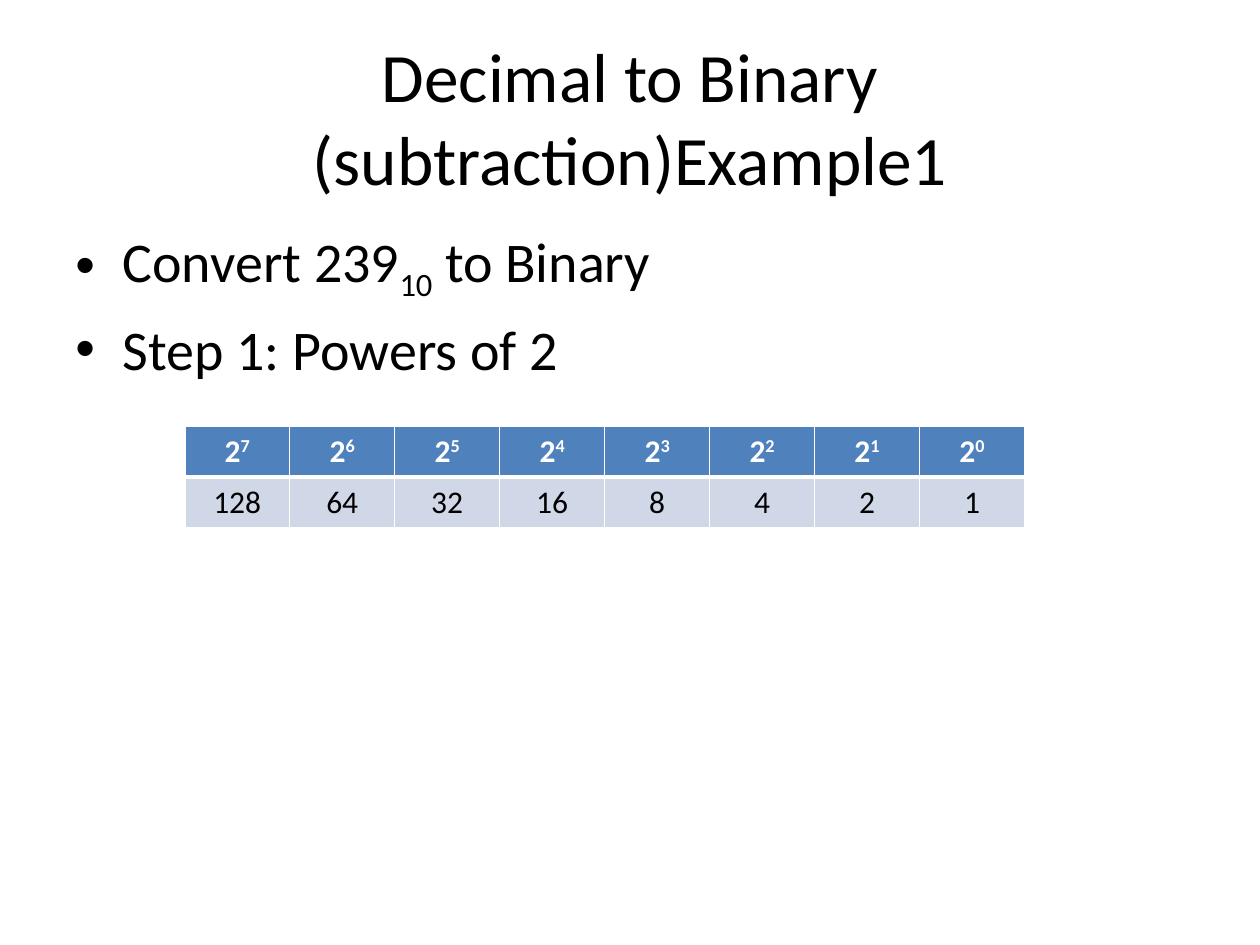
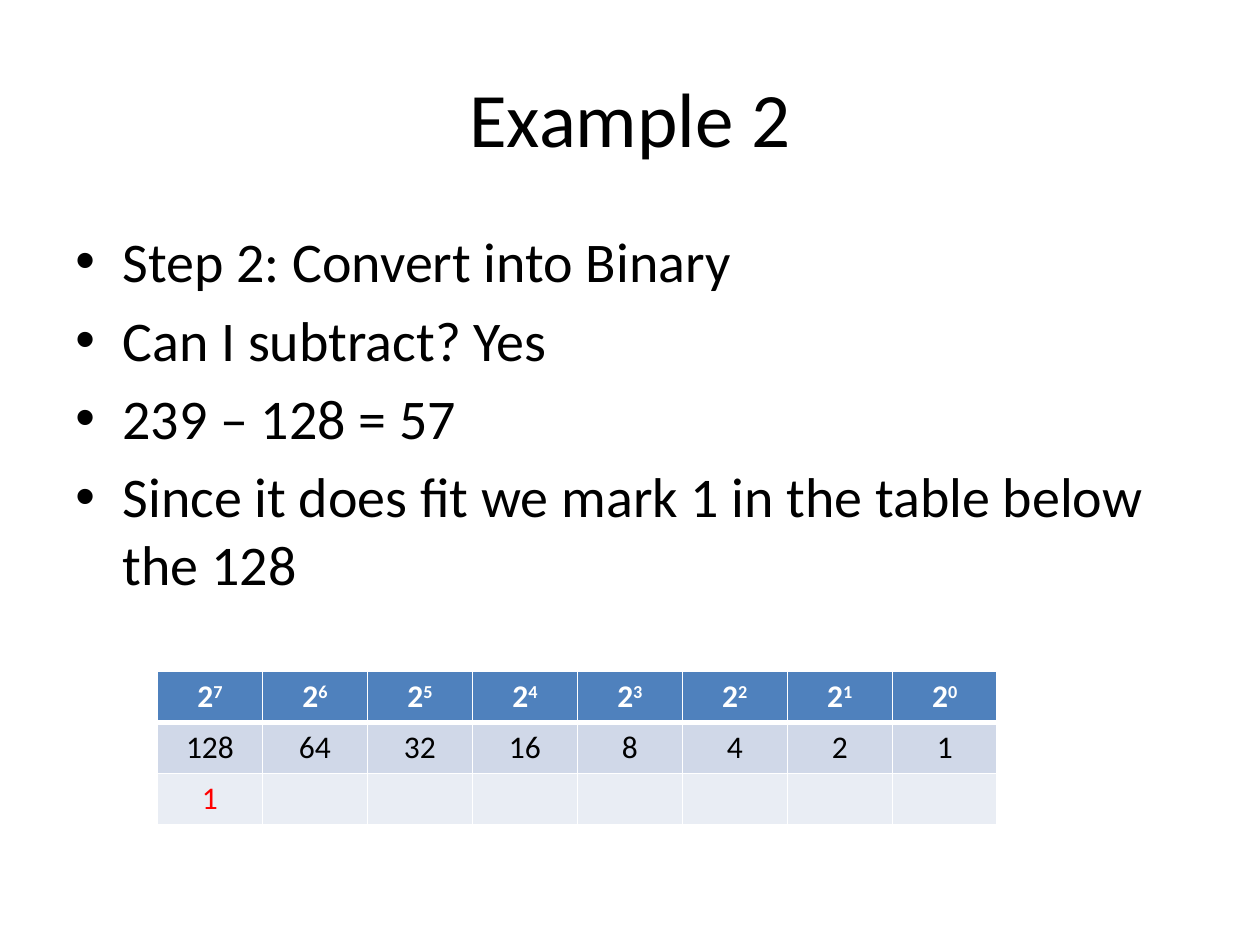
from lxml.etree import SubElement
from pptx import Presentation
from pptx.dml.color import RGBColor
from pptx.enum.text import MSO_ANCHOR, PP_ALIGN
from pptx.oxml.ns import qn
from pptx.util import Emu, Inches, Pt

FONT = "Calibri"
COLORS = {
    "ink": "000000",
    "paper": "FFFFFF",
    "header": "4F81BD",
    "band_dark": "D0D8E8",
    "band_light": "E9EDF4",
    "mark": "FF0000",
}
GRID_COLUMNS, GRID_ROWS = 12, 150
TABLE_ROW = 8.11
SUBSCRIPT, SUPERSCRIPT = -25000, 30000

POWERS = [[("2", 0), (str(exponent), SUPERSCRIPT)] for exponent in range(7, -1, -1)]
VALUES = [str(2 ** exponent) for exponent in range(7, -1, -1)]


class Deck:
    """Holds the shared style and the slide being filled."""

    def __init__(self):
        self.presentation = Presentation()
        self.presentation.slide_width = Inches(10)
        self.presentation.slide_height = Inches(7.5)
        self.slide = None

    def x(self, columns):
        return Emu(round(self.presentation.slide_width * columns / GRID_COLUMNS))

    def y(self, rows):
        return Emu(round(self.presentation.slide_height * rows / GRID_ROWS))

    def new_slide(self):
        blank = self.presentation.slide_layouts[6]
        self.slide = self.presentation.slides.add_slide(blank)

    def fill_paragraph(self, paragraph, content, size, color="ink", bold=False):
        """Fill a paragraph from a string or a list of (text, baseline) parts."""
        parts = [(content, 0)] if isinstance(content, str) else content
        for text, baseline in parts:
            run = paragraph.add_run()
            run.text = text
            if baseline:
                run.font._element.set("baseline", str(baseline))
        font = paragraph.font
        font.name, font.size, font.bold = FONT, Pt(size), bold
        font.color.rgb = RGBColor.from_string(COLORS[color])

    def text_frame(self, top, height):
        """Add a wrapping text box across the content width."""
        box = self.slide.shapes.add_textbox(
            self.x(0.6), self.y(top), self.x(10.8), self.y(height))
        box.text_frame.word_wrap = True
        return box.text_frame

    def title(self, text, size=44):
        frame = self.text_frame(6, 25)
        frame.vertical_anchor = MSO_ANCHOR.MIDDLE
        heading = frame.paragraphs[0]
        heading.alignment = PP_ALIGN.CENTER
        self.fill_paragraph(heading, text, size)

    def bullets(self, points):
        frame = self.text_frame(35, 99)
        for index, point in enumerate(points):
            paragraph = frame.add_paragraph() if index else frame.paragraphs[0]
            paragraph.space_before = Pt(6.4)
            properties = paragraph._p.get_or_add_pPr()
            indent = Inches(0.375)
            properties.set("marL", str(indent))
            properties.set("indent", str(-indent))
            SubElement(properties, qn("a:buFont"), typeface="Arial")
            SubElement(properties, qn("a:buChar"), char="•")
            self.fill_paragraph(paragraph, point, 32)

    def borders(self, cell, top, bottom):
        properties = cell._tc.get_or_add_tcPr()
        for side, width in (("L", 1), ("R", 1), ("T", top), ("B", bottom)):
            line = SubElement(properties, qn(f"a:ln{side}"), w=str(Pt(width)))
            fill = SubElement(line, qn("a:solidFill"))
            SubElement(fill, qn("a:srgbClr"), val=COLORS["paper"])

    def powers_table(self, left, top, marks=None):
        """Add the powers of two, their values and, if given, the row of marks."""
        rows = [(POWERS, "header", "paper"), (VALUES, "band_dark", "ink")]
        if marks:
            rows.append((marks, "band_light", "mark"))
        table = self.slide.shapes.add_table(
            len(rows), len(POWERS), self.x(left), self.y(top),
            self.x(len(POWERS)), self.y(TABLE_ROW * len(rows))).table
        for row, (contents, fill, ink) in enumerate(rows):
            for column, content in enumerate(contents):
                cell = table.cell(row, column)
                cell.margin_left = cell.margin_right = Inches(0.07)
                self.borders(cell, top=3 if row == 1 else 1, bottom=3 if row == 0 else 1)
                cell.fill.solid()
                cell.fill.fore_color.rgb = RGBColor.from_string(COLORS[fill])
                if content:
                    paragraph = cell.text_frame.paragraphs[0]
                    paragraph.alignment = PP_ALIGN.CENTER
                    self.fill_paragraph(paragraph, content, 18, ink, bold=row == 0)


def main():
    deck = Deck()

    deck.new_slide()
    deck.title("Decimal to Binary (subtraction)Example1", size=39.6)
    deck.bullets([
        [("Convert 239", 0), ("10", SUBSCRIPT), (" to Binary", 0)],
        "Step 1: Powers of 2",
    ])
    deck.powers_table(left=1.76, top=67.6)

    deck.new_slide()
    deck.title("Example 2")
    deck.bullets([
        "Step 2: Convert into Binary",
        "Can I subtract? Yes",
        "239 – 128 = 57",
        "Since it does fit we mark 1 in the table below the 128",
    ])
    deck.powers_table(left=1.5, top=106.6, marks=["1"] + [""] * 7)

    deck.presentation.save("out.pptx")


if __name__ == "__main__":
    main()
